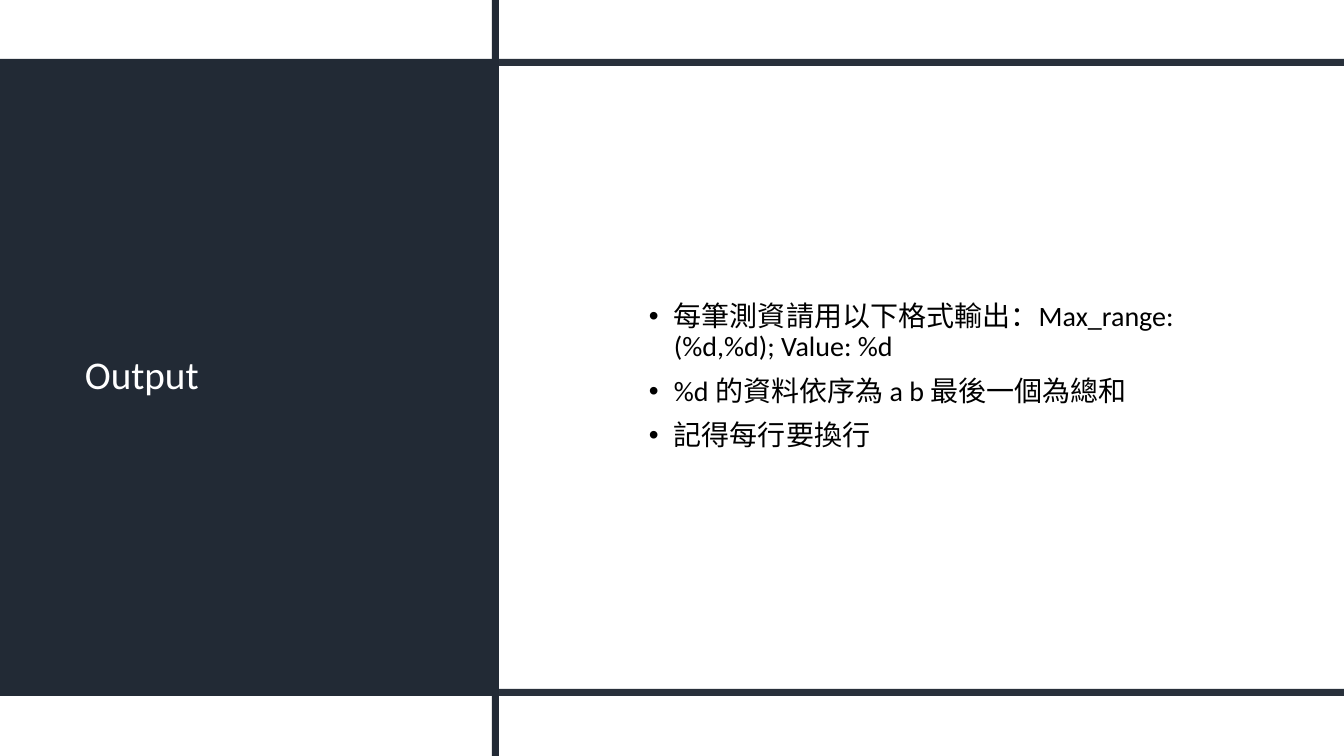
import pptx
import pptx.dml.color
import pptx.enum.shapes
import pptx.enum.text
import pptx.oxml
import pptx.oxml.ns
import pptx.util

WIDTH, HEIGHT = 1344, 756
SCALE = 12192000 / WIDTH
COLORS = {"navy": "222A35", "white": "FFFFFF", "black": "000000"}


def emu(pixels):
    return pptx.util.Emu(round(pixels * SCALE))


def color(name):
    return pptx.dml.color.RGBColor.from_string(COLORS[name])


class SlideBuilder:
    font_name = "Calibri"
    line_spacing = 0.9
    bullet_indent = 25

    def __init__(self, page):
        self.page = page

    def rectangle(self, left, top, width, height, fill="navy", opacity=100):
        shape = self.page.shapes.add_shape(
            pptx.enum.shapes.MSO_SHAPE.RECTANGLE,
            *map(emu, (left, top, width, height)))
        shape.shadow.inherit = False
        shape.line.fill.background()
        shape.fill.solid()
        shape.fill.fore_color.rgb = color(fill)
        if opacity < 100:
            tint = shape.fill._xPr.find(".//" + pptx.oxml.ns.qn("a:srgbClr"))
            alpha = pptx.oxml.parse_xml(
                f'<a:alpha {pptx.oxml.ns.nsdecls("a")} val="{opacity * 1000}"/>')
            tint.append(alpha)

    def text(self, left, top, width, height, lines, size, ink, bullets=False):
        box = self.page.shapes.add_textbox(*map(emu, (left, top, width, height)))
        frame = box.text_frame
        frame.word_wrap = True
        frame.vertical_anchor = pptx.enum.text.MSO_ANCHOR.MIDDLE
        frame.text = "\n".join(lines)
        for para in frame.paragraphs:
            para.line_spacing = self.line_spacing
            para.font.name = self.font_name
            para.font.size = pptx.util.Pt(size)
            para.font.color.rgb = color(ink)
            if bullets:
                para.space_before = pptx.util.Pt(10)
                self.bullet(para)

    def bullet(self, para):
        properties = para._p.get_or_add_pPr()
        indent = emu(self.bullet_indent)
        properties.set("marL", str(indent))
        properties.set("indent", str(-indent))
        names = pptx.oxml.ns.nsdecls("a")
        marks = (f'<a:buFont {names} typeface="Arial"/>',
                 f'<a:buChar {names} char="•"/>')
        # Bullet marks come before the default run properties
        for mark in marks:
            properties.find(pptx.oxml.ns.qn("a:defRPr")).addprevious(
                pptx.oxml.parse_xml(mark))


deck = pptx.Presentation()
deck.slide_width, deck.slide_height = emu(WIDTH), emu(HEIGHT)
page = deck.slides.add_slide(deck.slide_layouts[6])
slide = SlideBuilder(page)

BAR = 7
PANEL_TOP, PANEL_WIDTH, PANEL_HEIGHT = 59, 499, 637
TEXT_TOP, TEXT_HEIGHT = 160, 434

# Title panel
slide.rectangle(0, PANEL_TOP, PANEL_WIDTH, PANEL_HEIGHT)
slide.text(75, TEXT_TOP, 342, TEXT_HEIGHT, ["Output"], 28, "white")

# Horizontal bars along the panel's top and bottom edges
for bar_top in (PANEL_TOP, PANEL_TOP + PANEL_HEIGHT - BAR):
    slide.rectangle(0, bar_top, WIDTH, BAR, opacity=97)

# Vertical bar along the panel's right edge
slide.rectangle(PANEL_WIDTH - BAR, 0, BAR, HEIGHT)

# Output rules
slide.text(639, TEXT_TOP, 589, TEXT_HEIGHT, [
    "每筆測資請用以下格式輸出：Max_range: (%d,%d); Value: %d",
    "%d 的資料依序為 a b 最後一個為總和",
    "記得每行要換行",
], 20, "black", bullets=True)

deck.save("out.pptx")
